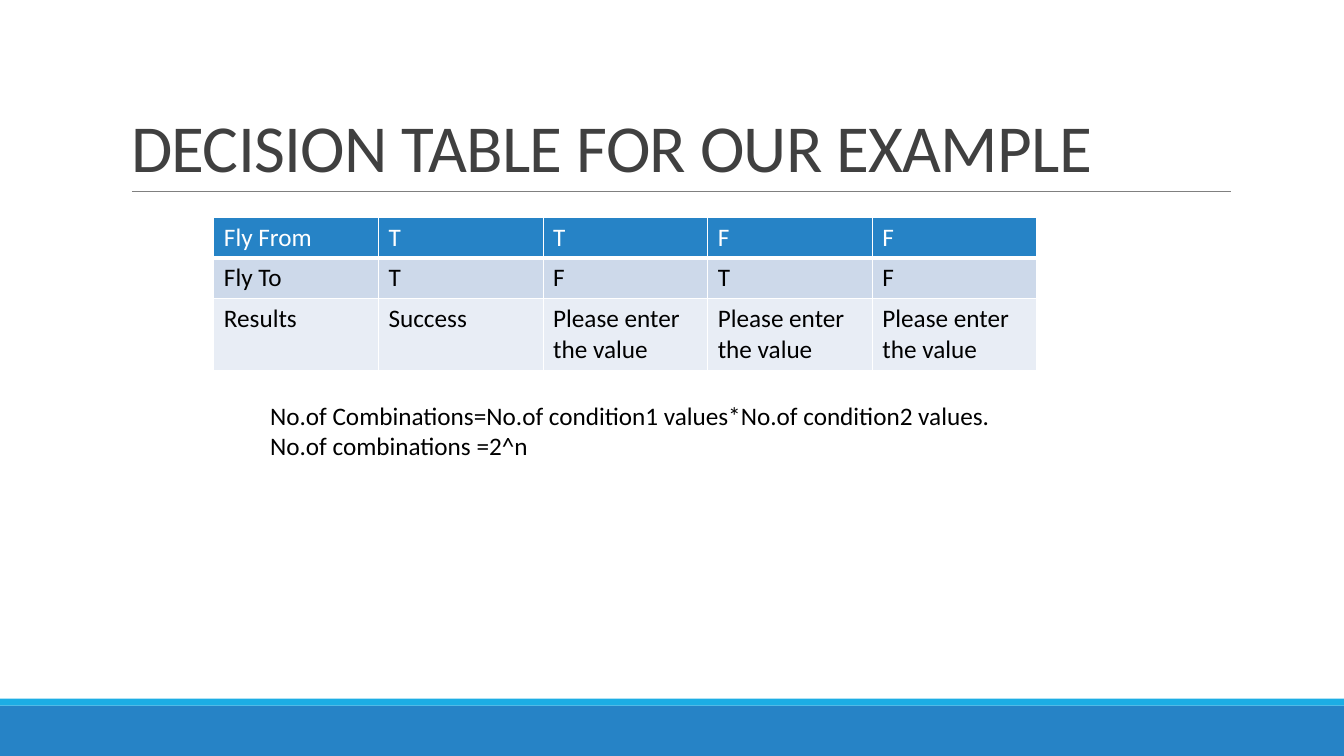
"""Build the decision table slide."""
from dataclasses import dataclass

from lxml.etree import SubElement
from pptx import Presentation
from pptx.dml.color import RGBColor
from pptx.enum.shapes import MSO_CONNECTOR, MSO_SHAPE
from pptx.enum.text import MSO_ANCHOR, MSO_AUTO_SIZE, PP_ALIGN
from pptx.oxml.ns import qn
from pptx.slide import Slide
from pptx.table import _Cell
from pptx.text.text import TextFrame
from pptx.util import Pt

WHITE = RGBColor(0xFF, 0xFF, 0xFF)
BLACK = RGBColor(0, 0, 0)
TITLE_GRAY = RGBColor(0x40, 0x40, 0x40)
RULE_GRAY = RGBColor(0x80, 0x80, 0x80)
BLUE = RGBColor(0x26, 0x83, 0xC6)
CYAN = RGBColor(0x1C, 0xAD, 0xE4)
BAND_DARK = RGBColor(0xCD, 0xD9, 0xEA)
BAND_LIGHT = RGBColor(0xE8, 0xED, 0xF5)

SLIDE_WIDTH = 960
SLIDE_HEIGHT = 540
COLUMN_WIDTH = 117.6


@dataclass(frozen=True)
class Band:
    """A full-width footer band."""

    top: float
    height: float
    color: RGBColor


@dataclass(frozen=True)
class TableRow:
    """One row of the decision table."""

    texts: tuple[str, ...]
    height: float
    fill: RGBColor
    text_color: RGBColor = BLACK
    bottom_border: float = 1


BANDS = (Band(504, 36, BLUE), Band(499, 5, CYAN))
PROMPT = "Please enter the value"
ROWS = (
    TableRow(("Fly From", "T", "T", "F", "F"), 29.2, BLUE, WHITE, 3),
    TableRow(("Fly To", "T", "F", "T", "F"), 29.2, BAND_DARK),
    TableRow(("Results", "Success", PROMPT, PROMPT, PROMPT), 50.4, BAND_LIGHT),
)
FORMULAS = (
    "No.of Combinations=No.of condition1 values*No.of condition2 values.\n"
    "No.of combinations =2^n"
)


def write_text(
    frame: TextFrame,
    text: str,
    *,
    size: float = 18,
    color: RGBColor = BLACK,
    line_spacing: float = 1,
    character_spacing: float = 0,
) -> None:
    """Fill a text frame with one paragraph per line of text."""
    frame.word_wrap = True
    for index, line in enumerate(text.split("\n")):
        paragraph = frame.paragraphs[0] if index == 0 else frame.add_paragraph()
        paragraph.alignment = PP_ALIGN.LEFT
        paragraph.line_spacing = line_spacing
        run = paragraph.add_run()
        run.text = line
        run.font.name = "Calibri"
        run.font.size = Pt(size)
        run.font.color.rgb = color
        if character_spacing:
            run.font._element.set("spc", str(round(character_spacing * 100)))


def add_band(slide: Slide, band: Band) -> None:
    """Draw a footer band."""
    shape = slide.shapes.add_shape(
        MSO_SHAPE.RECTANGLE, Pt(0), Pt(band.top), Pt(SLIDE_WIDTH), Pt(band.height)
    )
    shape.shadow.inherit = False
    shape.fill.solid()
    shape.fill.fore_color.rgb = band.color
    shape.line.fill.background()


def add_title_rule(slide: Slide) -> None:
    """Draw the thin line below the title."""
    rule = slide.shapes.add_connector(
        MSO_CONNECTOR.STRAIGHT, Pt(94.3), Pt(136.8), Pt(879), Pt(136.8)
    )
    rule.line.color.rgb = RULE_GRAY
    rule.line.width = Pt(0.5)
    SubElement(rule._element.spPr, qn("a:effectLst"))


def add_title(slide: Slide, text: str) -> None:
    """Place and format the title placeholder."""
    title = slide.shapes.title
    title.left, title.top = Pt(86.4), Pt(22.6)
    title.width, title.height = Pt(792), Pt(114.2)
    frame = title.text_frame
    frame.auto_size = MSO_AUTO_SIZE.NONE
    frame.vertical_anchor = MSO_ANCHOR.BOTTOM
    write_text(frame, text, size=48, color=TITLE_GRAY,
               line_spacing=0.85, character_spacing=-0.5)


def set_borders(cell: _Cell, bottom_width: float) -> None:
    """Give a cell white borders."""
    properties = cell._tc.get_or_add_tcPr()
    widths = {"a:lnL": 1, "a:lnR": 1, "a:lnT": 1, "a:lnB": bottom_width}
    for tag, width in widths.items():
        border = SubElement(properties, qn(tag), w=str(Pt(width)))
        fill = SubElement(border, qn("a:solidFill"))
        SubElement(fill, qn("a:srgbClr"), val=str(WHITE))


def add_decision_table(slide: Slide, rows: tuple[TableRow, ...]) -> None:
    """Draw the decision table."""
    column_count = len(rows[0].texts)
    table = slide.shapes.add_table(
        len(rows), column_count, Pt(152.8), Pt(155),
        Pt(COLUMN_WIDTH * column_count), Pt(sum(row.height for row in rows)),
    ).table
    for column in table.columns:
        column.width = Pt(COLUMN_WIDTH)
    for row_index, row in enumerate(rows):
        table.rows[row_index].height = Pt(row.height)
        for column_index, text in enumerate(row.texts):
            cell = table.cell(row_index, column_index)
            set_borders(cell, row.bottom_border)
            cell.fill.solid()
            cell.fill.fore_color.rgb = row.fill
            write_text(cell.text_frame, text, color=row.text_color)


def add_formulas(slide: Slide, text: str) -> None:
    """Place the formulas below the table."""
    box = slide.shapes.add_textbox(Pt(185.8), Pt(282.2), Pt(594), Pt(72.7))
    write_text(box.text_frame, text)


def main() -> None:
    """Build and save the presentation."""
    presentation = Presentation()
    presentation.slide_width = Pt(SLIDE_WIDTH)
    presentation.slide_height = Pt(SLIDE_HEIGHT)
    slide = presentation.slides.add_slide(presentation.slide_layouts[5])
    for band in BANDS:
        add_band(slide, band)
    add_title_rule(slide)
    add_title(slide, "DECISION TABLE FOR OUR EXAMPLE")
    add_decision_table(slide, ROWS)
    add_formulas(slide, FORMULAS)
    presentation.save("out.pptx")


if __name__ == "__main__":
    main()
